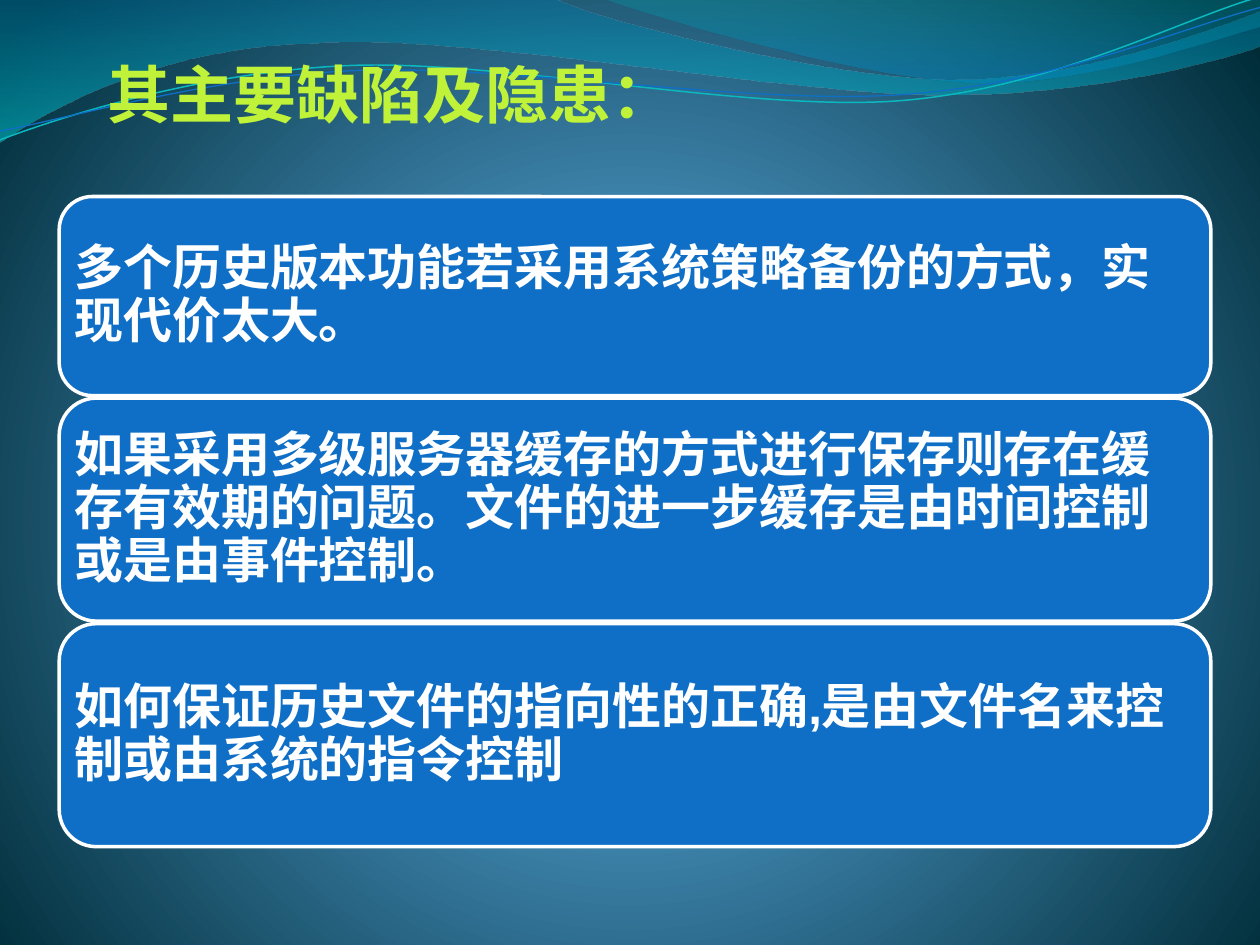
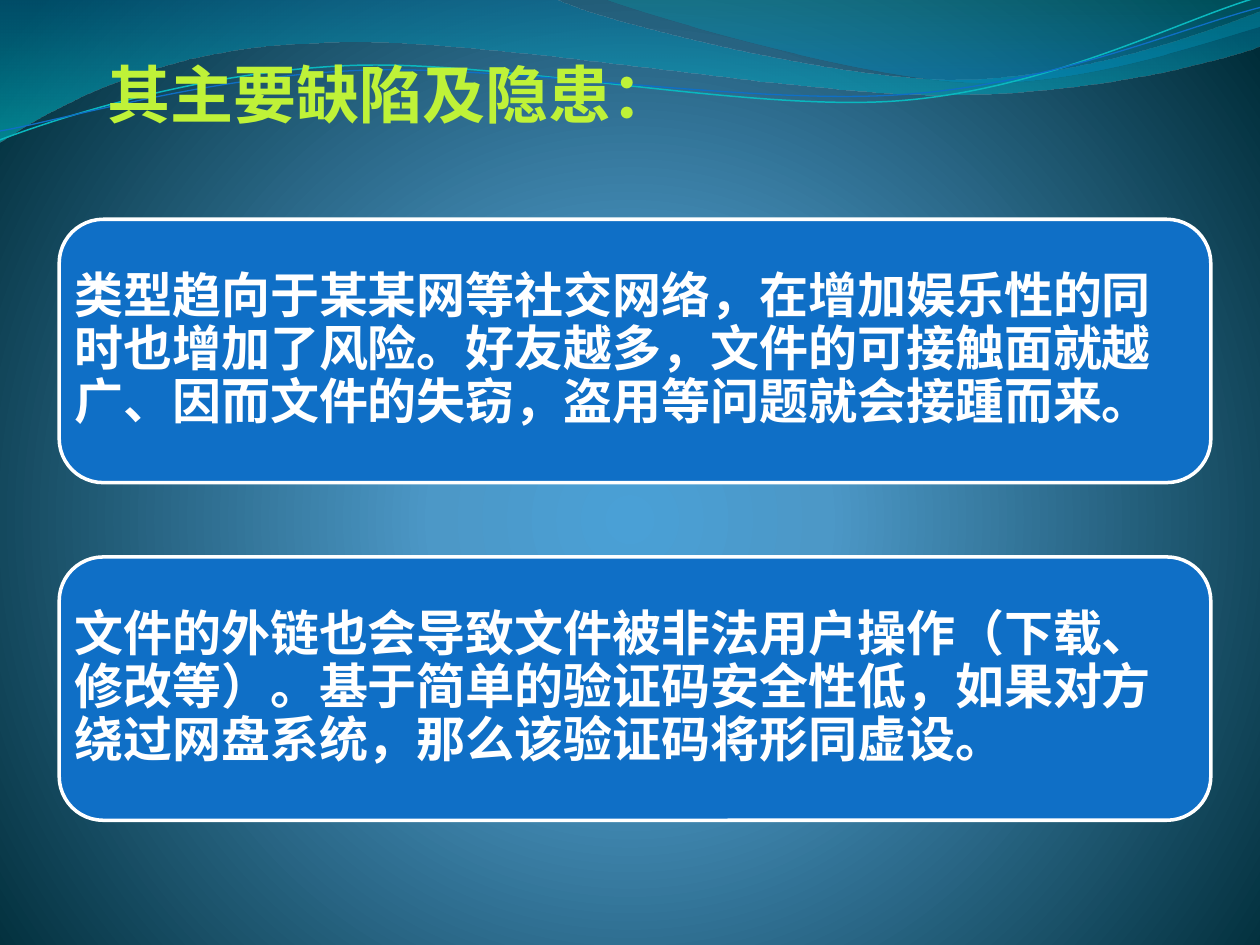
from math import cos, radians, sin

from lxml.etree import SubElement
from pptx import Presentation
from pptx.dml.color import RGBColor
from pptx.enum.shapes import MSO_SHAPE
from pptx.enum.text import MSO_ANCHOR, MSO_AUTO_SIZE, PP_ALIGN
from pptx.oxml.ns import qn
from pptx.util import Inches, Pt

WHITE = RGBColor(0xFF, 0xFF, 0xFF)
BLUE = RGBColor(0x0F, 0x6F, 0xC6)
TEAL = RGBColor(0x0A, 0xB8, 0xBF)

# Gradient stops: position, colour, opacity (all in percent)
SKY = [(0, RGBColor(0x4A, 0xA0, 0xD6), 100), (25, RGBColor(0x4C, 0x98, 0xC7), 100),
       (100, RGBColor(0x00, 0x2C, 0x38), 100)]
LIME = [(0, RGBColor(0x62, 0x7E, 0x06), 100), (78, RGBColor(0xBF, 0xF2, 0x38), 100),
        (100, RGBColor(0xF8, 0xFE, 0xED), 100)]
SEA = [(0, RGBColor(0x00, 0x74, 0xA1), 45), (100, RGBColor(0x00, 0xC6, 0xCF), 55)]
FOAM = [(0, RGBColor(0x00, 0xA1, 0xA9), 30), (80, RGBColor(0x00, 0x8B, 0xBF), 45)]

# Outlines in inches: a start point, then lines (2 numbers) or curves (6 numbers)
WAVE = [(0, 0), (4.4, -0.01), (4.76, 0.17, 6.64, 0.63, 7.58, 0.63),
        (8.53, 0.63, 9.58, 0.26, 10, 0.09), (10.01, 0.36),
        (9.83, 0.44, 8.7, 0.76, 7.46, 0.75), (6.22, 0.75, 3.82, 0.28, 2.57, 0.34),
        (1.29, 0.36, 0.46, 0.83, -0.01, 1.13), (0, 0)]
CREST = [(4.79, -0.01), (5.09, 0.11, 6.82, 0.62, 7.69, 0.65),
         (8.56, 0.69, 9.61, 0.32, 10, 0.21), (10, 0), (4.79, -0.01)]
UPPER = [(0, 1.11), (0.48, 0.93, 1.58, 0.57, 2.77, 0.52),
         (3.95, 0.47, 5.93, 0.89, 7.13, 0.8), (8.33, 0.71, 9.38, 0.15, 9.98, -0.02)]
LOWER = [(0, 1.04), (0.47, 0.96, 1.64, 0.61, 2.83, 0.56),
         (4.03, 0.51, 5.97, 0.84, 7.17, 0.75), (8.36, 0.67, 9.41, 0.21, 10, 0.06)]
TILT = 2.7

TITLE = "其主要缺陷及隐患："
LEFT, WIDTH, INSET = 0.47, 9.14, 0.12
CORNER = 0.1667

COSTS = [
    (1.58, "多个历史版本功能若采用系统策略备份的方式，实现代价太大。"),
    (1.77, "如果采用多级服务器缓存的方式进行保存则存在缓存有效期的问题。"
           "文件的进一步缓存是由时间控制或是由事件控制。"),
    (1.77, "如何保证历史文件的指向性的正确,是由文件名来控制或由系统的指令控制"),
]
RISKS = [
    (2.09, "类型趋向于某某网等社交网络，在增加娱乐性的同时也增加了风险。"
           "好友越多，文件的可接触面就越广、因而文件的失窃，盗用等问题就会接踵而来。"),
    (2.09, "文件的外链也会导致文件被非法用户操作（下载、修改等）。"
           "基于简单的验证码安全性低，如果对方绕过网盘系统，那么该验证码将形同虚设。"),
]


def blend(fill, owner, stops, focus=None):
    """Give owner a gradient: downwards, or round when focus is set."""
    fill.solid()
    grad = owner.makeelement(qn("a:gradFill"), {"rotWithShape": "1"})
    owner.replace(owner.find(qn("a:solidFill")), grad)
    items = SubElement(grad, qn("a:gsLst"))
    for pos, color, alpha in stops:
        stop = SubElement(items, qn("a:gs"), pos=str(pos * 1000))
        tint = SubElement(stop, qn("a:srgbClr"), val=str(color))
        if alpha < 100:
            SubElement(tint, qn("a:alpha"), val=str(alpha * 1000))
    if focus:
        ring = SubElement(grad, qn("a:path"), path="circle")
        SubElement(ring, qn("a:fillToRect"),
                   {side: str(part * 1000) for side, part in zip("ltrb", focus)})
    else:
        SubElement(grad, qn("a:lin"), ang="5400000", scaled="0")


def turn(part, center, angle):
    """Turn the points of one outline part clockwise about a center."""
    cx, cy = center
    c, s = cos(radians(angle)), sin(radians(angle))
    turned = []
    for x, y in zip(part[::2], part[1::2]):
        dx, dy = x - cx, y - cy
        turned += [cx + dx * c - dy * s, cy + dx * s + dy * c]
    return tuple(turned)


def draw(slide, outline, close):
    """Add an outline as a freeform with true cubic curves."""
    points = [(Inches(x), Inches(y)) for part in outline
              for x, y in zip(part[::2], part[1::2])]
    pen = slide.shapes.build_freeform(*points[0])
    pen.add_line_segments(points[1:], close=close)
    shape = pen.convert_to_shape()
    shape.shadow.inherit = False
    # Fold each run of three line ends into one curve
    legs = iter(shape.element.findall(".//" + qn("a:lnTo")))
    for part in outline[1:]:
        leg = next(legs)
        if len(part) == 6:
            curve = leg.makeelement(qn("a:cubicBezTo"), {})
            leg.getparent().replace(leg, curve)
            curve.append(leg[0])
            for _ in range(2):
                extra = next(legs)
                curve.append(extra[0])
                extra.getparent().remove(extra)
    return shape


def add_wave(slide, outline, stops):
    """Add a translucent wave."""
    shape = draw(slide, outline, True)
    blend(shape.fill, shape.element.spPr, stops)
    shape.line.fill.background()


def add_curve(slide, outline, center, color, width):
    """Add a thin open curve, drawn level and then tilted."""
    level = [turn(part, center, TILT) for part in outline]
    shape = draw(slide, level, False)
    shape.rotation = 360 - TILT
    shape.fill.background()
    shape.line.color.rgb = color
    shape.line.width = Pt(width)


def add_run(para, text, size, face):
    """Add one bold run and return it."""
    run = para.add_run()
    run.text = text
    run.font.size = Pt(size)
    run.font.name = face
    run.font.bold = True
    return run


def add_title(slide):
    """Add the gradient title."""
    box = slide.shapes.add_textbox(Inches(0.72), Inches(0.39), Inches(4.76), Inches(0.71))
    frame = box.text_frame
    frame.word_wrap = False
    frame.auto_size = MSO_AUTO_SIZE.SHAPE_TO_FIT_TEXT
    para = frame.paragraphs[0]
    para.alignment = PP_ALIGN.CENTER
    run = add_run(para, TITLE, 36, "Vollkorn")
    blend(run.font.fill, run.font.fill and run._r.rPr, LIME)


def add_card(slide, top, height, text):
    """Add a rounded card holding one paragraph."""
    card = slide.shapes.add_shape(MSO_SHAPE.ROUNDED_RECTANGLE, Inches(LEFT), Inches(top),
                                  Inches(WIDTH), Inches(height))
    card.shadow.inherit = False
    card.adjustments[0] = CORNER
    card.fill.solid()
    card.fill.fore_color.rgb = BLUE
    card.line.color.rgb = WHITE
    card.line.width = Pt(2)
    frame = card.text_frame
    frame.word_wrap = True
    frame.vertical_anchor = MSO_ANCHOR.MIDDLE
    # Rounded corners already push the text inwards
    inset = Inches(INSET - 0.29 * CORNER * height)
    frame.margin_left = frame.margin_right = inset
    frame.margin_top = frame.margin_bottom = inset
    para = frame.paragraphs[0]
    para.alignment = PP_ALIGN.LEFT
    para.line_spacing = 0.9
    after = SubElement(para._p.get_or_add_pPr(), qn("a:spcAft"))
    SubElement(after, qn("a:spcPct"), val="35000")
    add_run(para, text, 28, "Arial").font.color.rgb = WHITE


def add_slide(deck, top, gap, cards):
    """Add a slide with the shared scenery and a stack of cards."""
    slide = deck.slides.add_slide(deck.slide_layouts[6])
    fill = slide.background.fill
    fill.solid()
    blend(fill, slide.element.find(".//" + qn("p:bgPr")), SKY, (10, 110, 10, 100))
    add_wave(slide, WAVE, SEA)
    add_wave(slide, CREST, FOAM)
    add_curve(slide, UPPER, (4.99, 0.58), TEAL, 0.85)
    add_curve(slide, LOWER, (5, 0.59), BLUE, 0.75)
    add_title(slide)
    for height, text in cards:
        add_card(slide, top, height, text)
        top += height + gap


def main():
    """Build and save the deck."""
    deck = Presentation()
    deck.slide_width, deck.slide_height = Inches(10), Inches(7.5)
    add_slide(deck, 1.56, 0.02, COSTS)
    add_slide(deck, 1.74, 0.59, RISKS)
    deck.save("out.pptx")


main()
